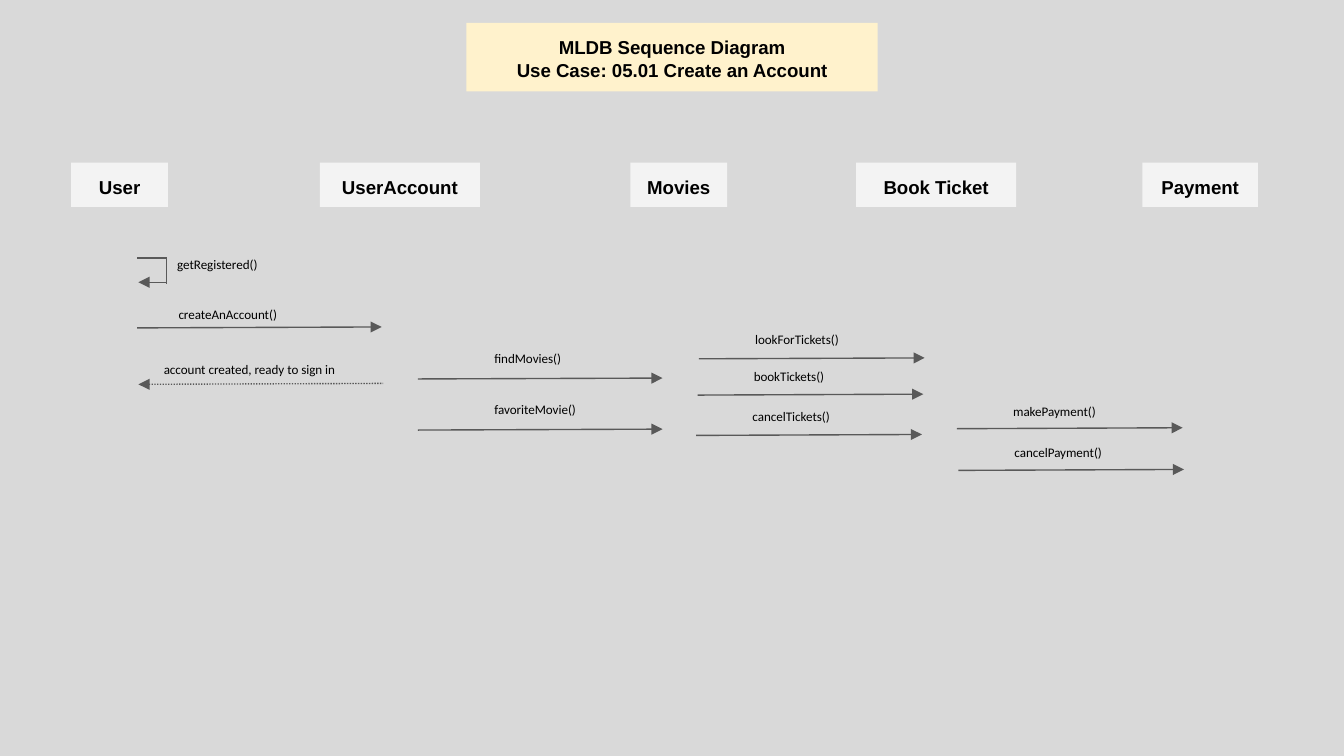
from lxml import etree
from pptx import Presentation
from pptx.dml.color import RGBColor
from pptx.enum.dml import MSO_LINE
from pptx.enum.shapes import MSO_CONNECTOR, MSO_SHAPE
from pptx.enum.text import MSO_ANCHOR, PP_ALIGN
from pptx.oxml.ns import qn
from pptx.util import Inches, Pt

STRAIGHT = MSO_CONNECTOR.STRAIGHT
RECTANGLE = MSO_SHAPE.RECTANGLE
DOTTED = MSO_LINE.ROUND_DOT
TOP = MSO_ANCHOR.TOP
LEFT, CENTER = PP_ALIGN.LEFT, PP_ALIGN.CENTER

# The slide is a grid of 100 columns by 56.25 rows.
COLUMNS, ROWS = 100, 56.25
CELL = Inches(0.1)
HEADER_TOP, HEADER_HEIGHT = 12.1, 3.3
LABEL_HEIGHT = 2
ARROW_RISE = 0.07

COLORS = {
    "background": "D9D9D9",
    "title": "FFF2CC",
    "participant": "F3F3F3",
    "arrow": "595959",
    "text": "000000",
}

# name, left, width
PARTICIPANTS = [
    ("User", 5.3, 7.2),
    ("UserAccount", 23.8, 11.9),
    ("Movies", 46.9, 7.2),
    ("Book Ticket", 63.7, 11.9),
    ("Payment", 85, 8.6),
]

# Per sender: arrow length, label indent and label height above the arrow,
# then its messages as (label, arrow start, row, label width, is reply)
LANES = [
    (18.2, 2.1, 2.2, [("createAnAccount()", 10.2, 24.4, 14.1, False)]),
    (18.2, 0.9, 2.3, [("account created, ready to sign in", 10.3, 28.6, 15.2, True)]),
    (18.2, 4.7, 2.7, [("findMovies()", 31.1, 28.2, 7.2, False),
                      ("favoriteMovie()", 31.1, 32, 8.4, False)]),
    (16.8, 3.2, 2.6, [("lookForTickets()", 52, 26.7, 8.7, False),
                      ("bookTickets()", 51.9, 29.4, 7.5, False),
                      ("cancelTickets()", 51.8, 32.4, 8.1, False)]),
    (16.8, 3.2, 2.5, [("makePayment()", 71.2, 31.9, 8.4, False),
                      ("cancelPayment()", 71.3, 35, 8.7, False)]),
]


def grid(*cells):
    return [round(cell * CELL) for cell in cells]


def rgb(role):
    return RGBColor.from_string(COLORS[role])


def write(frame, text, font_name, size, bold, alignment):
    frame.word_wrap = True
    frame.vertical_anchor = TOP
    frame.margin_left = frame.margin_right = CELL
    frame.margin_top = frame.margin_bottom = CELL
    frame.text = text
    for paragraph in frame.paragraphs:
        paragraph.alignment = alignment
        for run in paragraph.runs:
            run.font.name = font_name
            run.font.size = Pt(size)
            run.font.bold = bold
            run.font.color.rgb = rgb("text")


def add_box(slide, text, bounds, role):
    box = slide.shapes.add_shape(RECTANGLE, *grid(*bounds))
    box.shadow.inherit = False
    box.fill.solid()
    box.fill.fore_color.rgb = rgb(role)
    box.line.fill.background()
    write(box.text_frame, text, "Arial", 10, True, CENTER)


def add_label(slide, text, left, top, width):
    label = slide.shapes.add_textbox(*grid(left, top, width, LABEL_HEIGHT))
    write(label.text_frame, text, "Calibri", 7, False, LEFT)


def add_line(slide, start, end, arrow_end=None, dotted=False):
    """Draw a line; arrow_end is "headEnd" (at start) or "tailEnd" (at end)."""
    connector = slide.shapes.add_connector(STRAIGHT, *grid(*start, *end))
    connector.line.color.rgb = rgb("arrow")
    connector.line.width = Pt(0.75)
    if dotted:
        connector.line.dash_style = DOTTED
    if arrow_end:
        outline = connector.line._get_or_add_ln()
        etree.SubElement(outline, qn(f"a:{arrow_end}"), type="triangle")
    etree.SubElement(connector._element.spPr, qn("a:effectLst"))


def add_self_call(slide, text, left, top):
    right, bottom = left + 2.2, top + 1.8
    add_line(slide, (left, top), (right, top))
    add_line(slide, (right, top), (right, bottom + 0.1))
    add_line(slide, (right, bottom), (left + 0.1, bottom), "tailEnd")
    add_label(slide, text, right - 0.2, top - 0.7, 8.1)


def add_messages(slide):
    for length, indent, lift, messages in LANES:
        for text, left, row, width, is_reply in messages:
            arrow_end = "headEnd" if is_reply else "tailEnd"
            add_line(slide, (left, row), (left + length, row - ARROW_RISE),
                     arrow_end, is_reply)
            add_label(slide, text, left + indent, row - lift, width)


def main():
    presentation = Presentation()
    presentation.slide_width, presentation.slide_height = grid(COLUMNS, ROWS)
    slide = presentation.slides.add_slide(presentation.slide_layouts[6])
    slide.background.fill.solid()
    slide.background.fill.fore_color.rgb = rgb("background")

    add_box(slide, "MLDB Sequence Diagram\nUse Case: 05.01 Create an Account",
            (34.7, 1.7, 30.6, 5.1), "title")
    for name, left, width in PARTICIPANTS:
        add_box(slide, name, (left, HEADER_TOP, width, HEADER_HEIGHT), "participant")
    add_self_call(slide, "getRegistered()", 10.2, 19.2)
    add_messages(slide)
    presentation.save("out.pptx")


if __name__ == "__main__":
    main()
